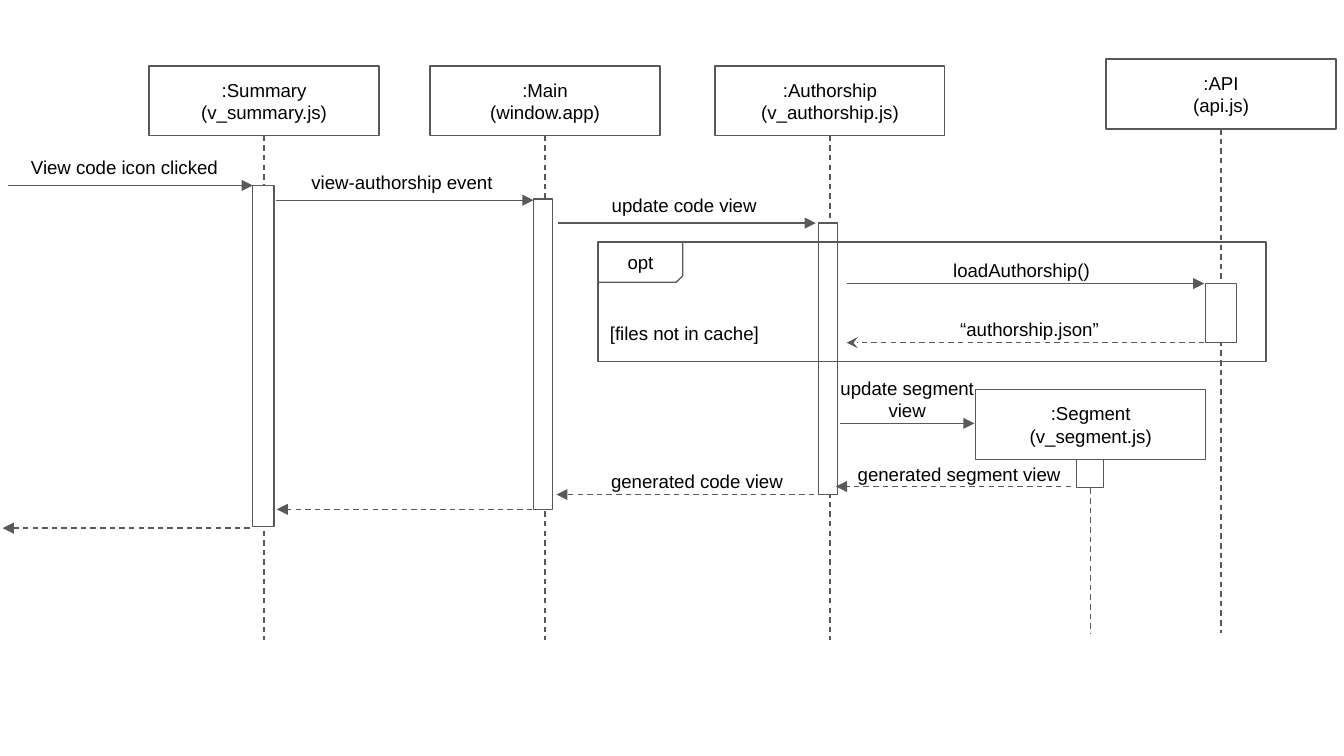
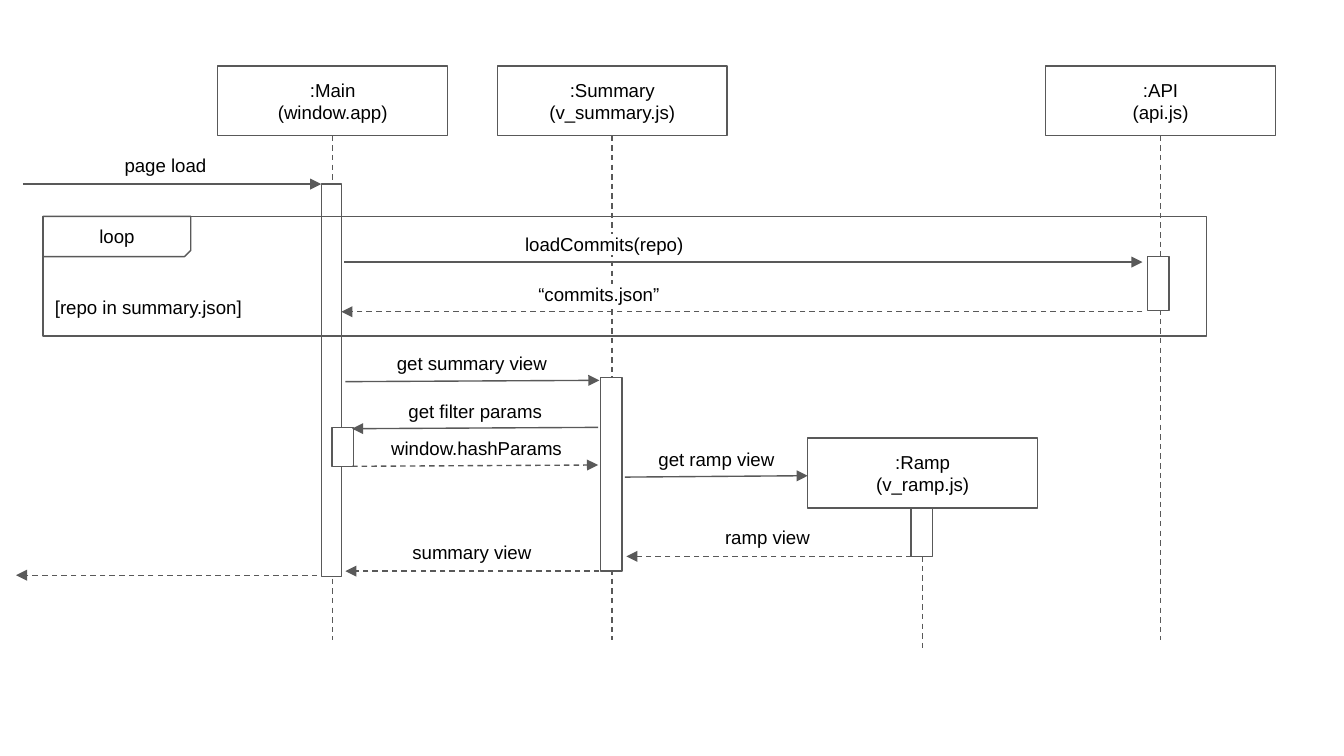
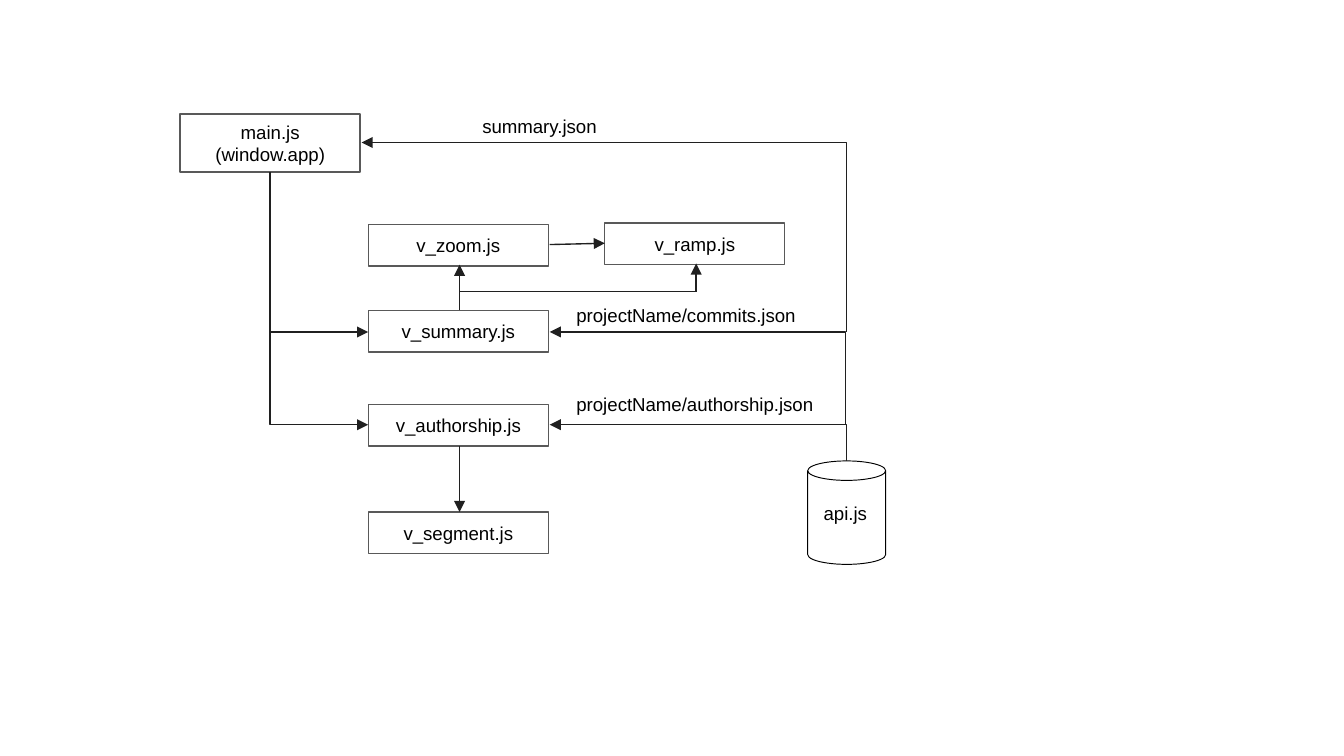
"""Builds two sequence diagrams and one component diagram of a web front end."""
import lxml.etree
import pptx
import pptx.dml.color
import pptx.enum.dml
import pptx.enum.shapes
import pptx.enum.text
import pptx.oxml.ns
import pptx.util

GREY, DARK, BLACK, WHITE = "595959", "202020", "000000", "FFFFFF"
HEAD_W, HEAD_H = 17.1, 5.2
CELL_W, CELL_H = 13.4, 3.1

hue = pptx.dml.color.RGBColor.from_string
tag = pptx.oxml.ns.qn
form = pptx.enum.shapes.MSO_SHAPE
wire = pptx.enum.shapes.MSO_CONNECTOR
side = pptx.enum.text.PP_ALIGN
hold = pptx.enum.text.MSO_ANCHOR

deck = pptx.Presentation()
deck.slide_width = pptx.util.Inches(10)
deck.slide_height = deck.slide_width * 9 // 16
unit = deck.slide_width / 100


def box(page, kind, x, y, w, h, text="", fill=None, ink=GREY, thick=0.75,
        align=side.CENTER, anchor=hold.MIDDLE, mark=None):
    spot = [round(unit * n) for n in (x, y, w, h)]
    if kind is None:
        shape = page.shapes.add_textbox(*spot)
    else:
        shape = page.shapes.add_shape(kind, *spot)
        shape.shadow.inherit = False
        shape.line.color.rgb = hue(ink)
        shape.line.width = pptx.util.Pt(thick)
        if fill:
            shape.fill.solid()
            shape.fill.fore_color.rgb = hue(fill)
        else:
            shape.fill.background()
    frame = shape.text_frame
    frame.word_wrap = True
    frame.vertical_anchor = anchor
    frame.margin_left = frame.margin_right = round(unit)
    frame.margin_top = frame.margin_bottom = round(unit)
    frame.text = text
    for para in frame.paragraphs:
        para.alignment = align
        for run in para.runs:
            run.font.size = pptx.util.Pt(10)
            run.font.color.rgb = hue(BLACK)
            if mark:
                glow = lxml.etree.SubElement(run.font._element, tag("a:highlight"))
                lxml.etree.SubElement(glow, tag("a:srgbClr"), val=mark)
            run.font.name = "Arial"
    return shape


def link(page, x1, y1, x2, y2, tip="triangle", dash=False, ink=GREY, kind=wire.STRAIGHT):
    ends = [round(unit * n) for n in (x1, y1, x2, y2)]
    line = page.shapes.add_connector(kind, *ends)
    line.line.color.rgb = hue(ink)
    line.line.width = pptx.util.Pt(0.75)
    if dash:
        line.line.dash_style = pptx.enum.dml.MSO_LINE.DASH
    if tip:
        lxml.etree.SubElement(line.line._ln, tag("a:tailEnd"), type=tip)
    lxml.etree.SubElement(line._element.spPr, tag("a:effectLst"))
    return line


code = {
    "heads": [
        (32, 4.9, ":Main\n(window.app)", 47.6),
        (11.1, 4.9, ":Summary\n(v_summary.js)", 47.6),
        (53.2, 4.9, ":Authorship\n(v_authorship.js)", 47.6),
        (82.3, 4.4, ":API\n(api.js)", 47.1),
        (72.6, 29, ":Segment\n(v_segment.js)", 47.1),
    ],
    "bars": [
        (18.8, 13.8, 1.6, 25.4), (39.7, 14.8, 1.4, 23.1), (60.9, 16.6, 1.4, 20.2),
        (89.7, 21.1, 2.3, 4.4), (80.1, 34.2, 2, 2.1),
    ],
    "frame": (44.5, 18, 49.7, 6.3, "opt", 18.3, "[files not in cache]"),
    "calls": [
        (0.6, 13.8, 18.8, 13.8), (20.5, 14.9, 39.7, 14.9), (41.5, 16.6, 60.7, 16.6),
        (63, 21.1, 89.6, 21.1), (62.5, 31.5, 72.5, 31.5),
    ],
    "backs": [
        (89.6, 25.5, 63, 25.5, "stealth"), (61.3, 36.8, 41.4, 36.8, "triangle"),
        (39.6, 37.9, 20.6, 37.9, "triangle"), (18.6, 39.3, 0.2, 39.3, "triangle"),
        (79.7, 36.2, 62.2, 36.2, "triangle"),
    ],
    "notes": [
        (0.2, 11.1, 18.1, 2.7, "View code icon clicked", None),
        (20.5, 12.2, 18.8, 2.7, "view-authorship event", None),
        (41.5, 13.9, 18.8, 2.7, "update code view", None),
        (63, 19.1, 26, 2, "loadAuthorship()", None),
        (63.6, 23.5, 26, 2, "“authorship.json”", None),
        (42.1, 34.8, 19.5, 2, "generated code view", None),
        (61.3, 27.5, 12.4, 4.4, "update segment\nview", None),
        (62.8, 34.2, 17.1, 2.1, "generated segment view", None),
    ],
}

load = {
    "heads": [
        (16.2, 4.9, ":Main\n(window.app)", 47.6),
        (37, 4.9, ":Summary\n(v_summary.js)", 47.6),
        (77.8, 4.9, ":API\n(api.js)", 47.6),
        (60.1, 32.6, ":Ramp\n(v_ramp.js)", 48.3),
    ],
    "bars": [
        (23.9, 13.7, 1.5, 29.2), (85.4, 19.1, 1.6, 4), (44.7, 28.1, 1.6, 14.4),
        (24.7, 31.8, 1.6, 2.9), (67.8, 37.8, 1.6, 3.6),
    ],
    "frame": (3.2, 16.1, 86.6, 11, "loop", 31.8, "[repo in summary.json]"),
    "calls": [
        (1.7, 13.7, 23.9, 13.7), (25.6, 19.5, 85, 19.5), (25.7, 28.4, 44.6, 28.3),
        (44.5, 31.8, 26.2, 31.9), (46.5, 35.5, 60.1, 35.4),
    ],
    "backs": [
        (23.6, 42.8, 1.2, 42.8, "triangle"), (85, 23.2, 25.4, 23.2, "triangle"),
        (26.2, 34.7, 44.5, 34.6, "triangle"), (44.6, 42.5, 25.7, 42.5, "triangle"),
        (67.8, 41.4, 46.6, 41.4, "triangle"),
    ],
    "notes": [
        (1.2, 10.9, 22.2, 2.7, "page load", None),
        (34.6, 16.8, 20.7, 2.7, "loadCommits(repo)", WHITE),
        (34.2, 20.5, 20.7, 2.7, "“commits.json”", WHITE),
        (26.4, 25.7, 17.4, 2.7, "get summary view", None),
        (26.9, 29.2, 16.9, 2.7, "get filter params", None),
        (27, 32, 16.9, 2.7, "window.hashParams", None),
        (47, 32.8, 12.6, 2.7, "get ramp view", None),
        (26.4, 39.7, 17.4, 2.7, "summary view", None),
        (47.3, 38.6, 19.6, 2.7, "ramp view", None),
    ],
}

for plan in (code, load):
    page = deck.slides.add_slide(deck.slide_layouts[6])
    for x, y, text, end in plan["heads"]:
        box(page, form.RECTANGLE, x, y, HEAD_W, HEAD_H, text)
        mid = x + HEAD_W / 2
        link(page, mid, y + HEAD_H, mid, end, None, True)
    for bar in plan["bars"]:
        box(page, form.RECTANGLE, *bar, fill=WHITE)
    x, y, w, tab, word, span, guard = plan["frame"]
    box(page, form.RECTANGLE, x, y, w, 8.9)
    snip = box(page, form.SNIP_1_RECTANGLE, x, y, tab, 3)
    snip.adjustments[0] = 0.16
    snip.rotation = 180
    snip._element.spPr.xfrm.set("flipH", "1")
    box(page, None, x + 0.1, y - 0.2, tab - 0.2, 3, word, anchor=hold.TOP)
    box(page, None, x - 0.1, y + 5.1, span, 3.8, guard, align=side.LEFT, anchor=hold.TOP)
    for call in plan["calls"]:
        link(page, *call)
    for back in plan["backs"]:
        link(page, *back, dash=True)
    for x, y, w, h, text, mark in plan["notes"]:
        box(page, None, x, y, w, h, text, mark=mark)

page = deck.slides.add_slide(deck.slide_layouts[6])
for x, y, h, text in [
    (27.4, 23.1, CELL_H, "v_summary.js"),
    (27.4, 30.1, CELL_H, "v_authorship.js"),
    (45, 16.6, CELL_H, "v_ramp.js"),
    (27.4, 16.7, CELL_H, "v_zoom.js"),
    (27.4, 38.1, CELL_H, "v_segment.js"),
    (13.4, 8.5, 4.3, "main.js\n(window.app)"),
]:
    box(page, form.RECTANGLE, x, y, CELL_W, h, text)
box(page, form.CAN, 60.1, 34.3, 5.8, 7.7, ink=BLACK, thick=0.5)

for x1, y1, x2, y2 in [
    (20.1, 12.8, 27.4, 24.7),
    (20.1, 24.7, 27.4, 31.6),
    (63, 34.3, 40.9, 31.6),
    (62.9, 31.6, 40.9, 24.7),
    (63, 24.7, 26.9, 10.6),
]:
    left = x2 < x1
    ends = (x2, y2, x1, y1) if left else (x1, y1, x2, y2)
    bend = link(page, *ends, ink=DARK, kind=wire.ELBOW)
    if left:
        bend._element.spPr.xfrm.set("rot", "10800000")
    rules = bend._element.spPr.prstGeom.get_or_add_avLst()
    lxml.etree.SubElement(rules, tag("a:gd"), name="adj1", fmla="val 0")

for x1, y1, x2, y2, tip in [
    (34.2, 33.2, 34.2, 38.1, "triangle"),
    (40.9, 18.2, 45, 18.1, "triangle"),
    (34.2, 23.1, 34.2, 19.7, "triangle"),
    (34.2, 21.7, 51.8, 21.7, None),
    (51.8, 21.7, 51.8, 19.6, "triangle"),
]:
    link(page, x1, y1, x2, y2, tip, ink=DARK)

for x, y, w, text in [
    (60.3, 36.8, 5.3, "api.js"),
    (34.9, 8, 10.7, "summary.json"),
    (41.9, 22.1, 18.5, "projectName/commits.json"),
    (41.9, 28.7, 19.8, "projectName/authorship.json"),
]:
    note = box(page, None, x, y, w, 2.7, text, align=side.LEFT)
    note.text_frame.word_wrap = False

deck.save("out.pptx")
